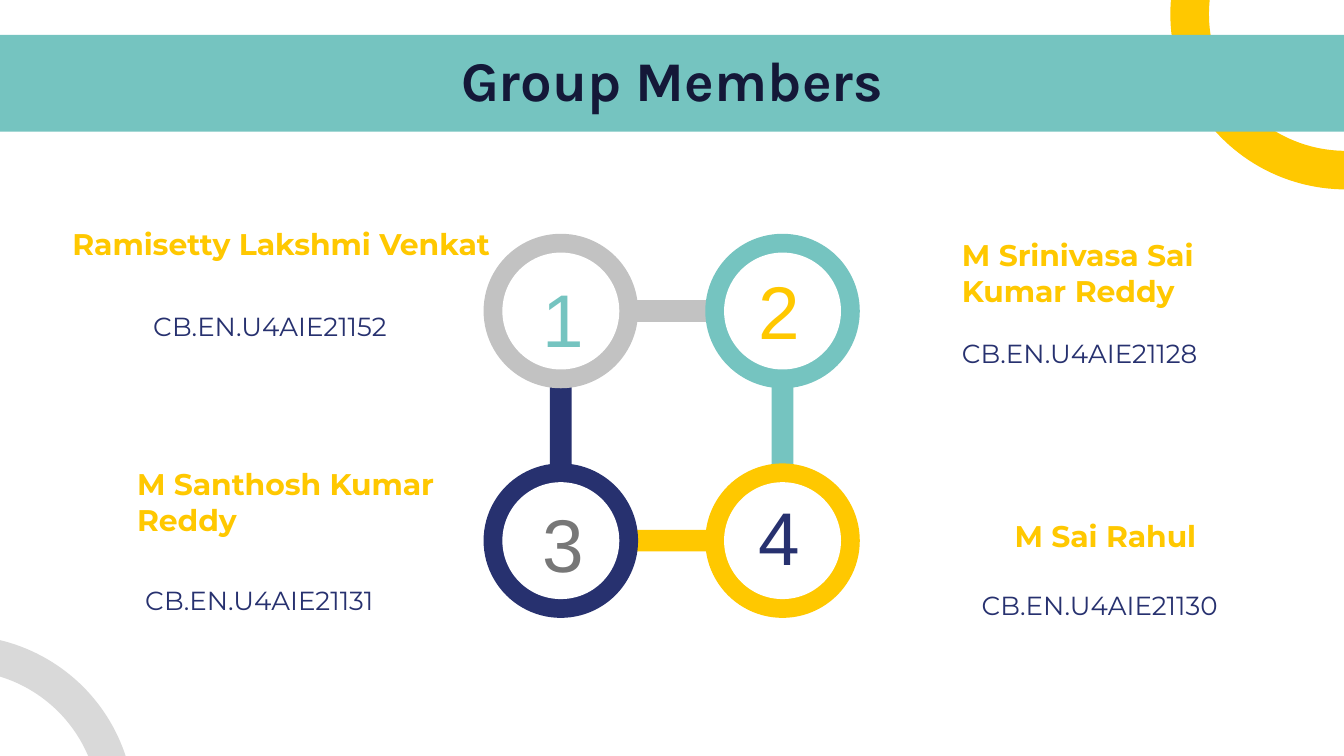
import lxml.etree
import pptx
import pptx.dml.color
import pptx.enum.shapes
import pptx.enum.text
import pptx.oxml.ns
import pptx.util

Cm = pptx.util.Cm
SHAPE = pptx.enum.shapes.MSO_SHAPE
ALIGN = pptx.enum.text.PP_ALIGN
ANCHOR = pptx.enum.text.MSO_ANCHOR

YELLOW, TEAL, NAVY = "FFC800", "75C4C0", "27316F"
GREY, WHITE = "C2C2C2", "FFFFFF"


def color(hex_string):
    return pptx.dml.color.RGBColor.from_string(hex_string)


def add_shape(page, kind, box, fill):
    shape = page.shapes.add_shape(kind, *map(Cm, box))
    shape.shadow.inherit = False
    shape.fill.solid()
    shape.fill.fore_color.rgb = color(fill)
    shape.line.fill.background()
    return shape


def add_arc(page, box, rotation, adjustments, fill):
    arc = add_shape(page, SHAPE.BLOCK_ARC, box, fill)
    arc.rotation = rotation
    for index, value in enumerate(adjustments):
        arc.adjustments[index] = value


def write(holder, text, size, ink, font="Montserrat", bold=False,
          align=ALIGN.LEFT, anchor=ANCHOR.TOP, inset=0.25, after=0):
    frame = holder.text_frame
    frame.word_wrap = True
    frame.auto_size = pptx.enum.text.MSO_AUTO_SIZE.NONE
    frame.vertical_anchor = anchor
    frame.margin_left = frame.margin_right = Cm(0.25)
    frame.margin_top = frame.margin_bottom = Cm(inset)
    para = frame.paragraphs[0]
    properties = para._p.get_or_add_pPr()
    properties.set("marL", "0")
    properties.set("indent", "0")
    lxml.etree.SubElement(properties, pptx.oxml.ns.qn("a:buNone"))
    para.alignment = align
    para.space_before = pptx.util.Pt(0)
    para.space_after = pptx.util.Pt(after)
    span = para.add_run()
    span.text = text
    span.font.name = font
    span.font.size = pptx.util.Pt(size)
    span.font.bold = bold
    span.font.color.rgb = color(ink)


def place(page, holder, box):
    holder.left, holder.top, holder.width, holder.height = map(Cm, box)
    page.shapes._spTree.append(holder._element)


def draw_backdrop(page, width, height):
    add_arc(page, (width - 3.28, -3.05, 6.63, 6.63), 270, (108.21, 165.56, 0.11), YELLOW)
    add_shape(page, SHAPE.RECTANGLE, (-0.43, 0.66, width + 0.86, 1.83), TEAL)
    add_arc(page, (-4.09, height - 2.28, 6.63, 6.63), 345, (175.07, 215.56, 0.1), "D9D9D9")


def draw_diagram(page, box):
    left, top, width, height = box
    ring, hole, length, thickness = 2.92, 2.21, 1.65, 0.41
    columns = (left, left + width - ring)
    rows = (top, top + height - ring)
    center = (ring - thickness) / 2

    for row, fill in zip(rows, (GREY, YELLOW)):
        bar = (left + (width - length) / 2, row + center, length, thickness)
        add_shape(page, SHAPE.RECTANGLE, bar, fill)
    for column, fill in zip(columns, (NAVY, TEAL)):
        bar = (column + center, top + (height - length) / 2, thickness, length)
        add_shape(page, SHAPE.RECTANGLE, bar, fill)

    nodes = [
        (GREY, TEAL, 0.86, 0.61),
        (TEAL, YELLOW, 0.76, 0.46),
        (NAVY, "777777", 0.86, 0.53),
        (YELLOW, NAVY, 0.76, 0.38),
    ]
    for index, (fill, ink, shift_x, shift_y) in enumerate(nodes):
        x, y = columns[index % 2], rows[index // 2]
        gap = (ring - hole) / 2
        add_shape(page, SHAPE.OVAL, (x, y, ring, ring), fill)
        add_shape(page, SHAPE.OVAL, (x + gap, y + gap, hole, hole), WHITE)
        digit = page.shapes.add_textbox(Cm(x + shift_x), Cm(y + shift_y), Cm(1.09), Cm(1.96))
        write(digit, str(index + 1), 40, ink, font="Arial", inset=0.13)


def draw_member(page, holder, box, name, code, offset, code_height,
                name_align=ALIGN.LEFT, code_align=ALIGN.LEFT):
    place(page, holder, box)
    write(holder, name, 16, YELLOW, bold=True, align=name_align, after=16)
    left, top = box[0] + offset[0], box[1] + offset[1]
    label = page.shapes.add_textbox(Cm(left), Cm(top), Cm(5.13), Cm(code_height))
    write(label, code, 14, NAVY, align=code_align, anchor=ANCHOR.MIDDLE, after=16)


def main():
    width, height = 25.4, 14.29
    deck = pptx.Presentation()
    deck.slide_width, deck.slide_height = Cm(width), Cm(height)
    page = deck.slides.add_slide(deck.slide_layouts.get_by_name("Comparison"))
    title = page.shapes.title
    holders = [page.placeholders[index] for index in (1, 2, 3, 4)]
    for footer in [item for item in page.placeholders if item.placeholder_format.idx >= 10]:
        footer._element.getparent().remove(footer._element)

    draw_backdrop(page, width, height)
    draw_diagram(page, (9.14, 4.42, 7.11, 7.26))
    place(page, title, (1.96, 0.61, 21.49, 1.6))
    write(title, "Group Members", 30, "141838", font="Karla", bold=True, align=ALIGN.CENTER)

    members = [
        ((1.12, 4.01, 8.51, 1.7), "Ramisetty Lakshmi Venkat", "CB.EN.U4AIE21152",
         (1.42, 1.45), 1.42, ALIGN.LEFT, ALIGN.CENTER),
        ((17.93, 4.22, 5.13, 1.09), "M Srinivasa Sai Kumar Reddy", "CB.EN.U4AIE21128",
         (0, 1.9), 1.09, ALIGN.LEFT, ALIGN.LEFT),
        ((2.34, 8.56, 6.38, 1.7), "M Santhosh Kumar Reddy", "CB.EN.U4AIE21131",
         (0, 2.24), 1.09, ALIGN.LEFT, ALIGN.CENTER),
        ((17.73, 9.53, 5.13, 1.09), "M Sai Rahul", "CB.EN.U4AIE21130",
         (0.41, 0.66), 2.49, ALIGN.RIGHT, ALIGN.RIGHT),
    ]
    for holder, member in zip(holders, members):
        draw_member(page, holder, *member)
    deck.save("out.pptx")


if __name__ == "__main__":
    main()
